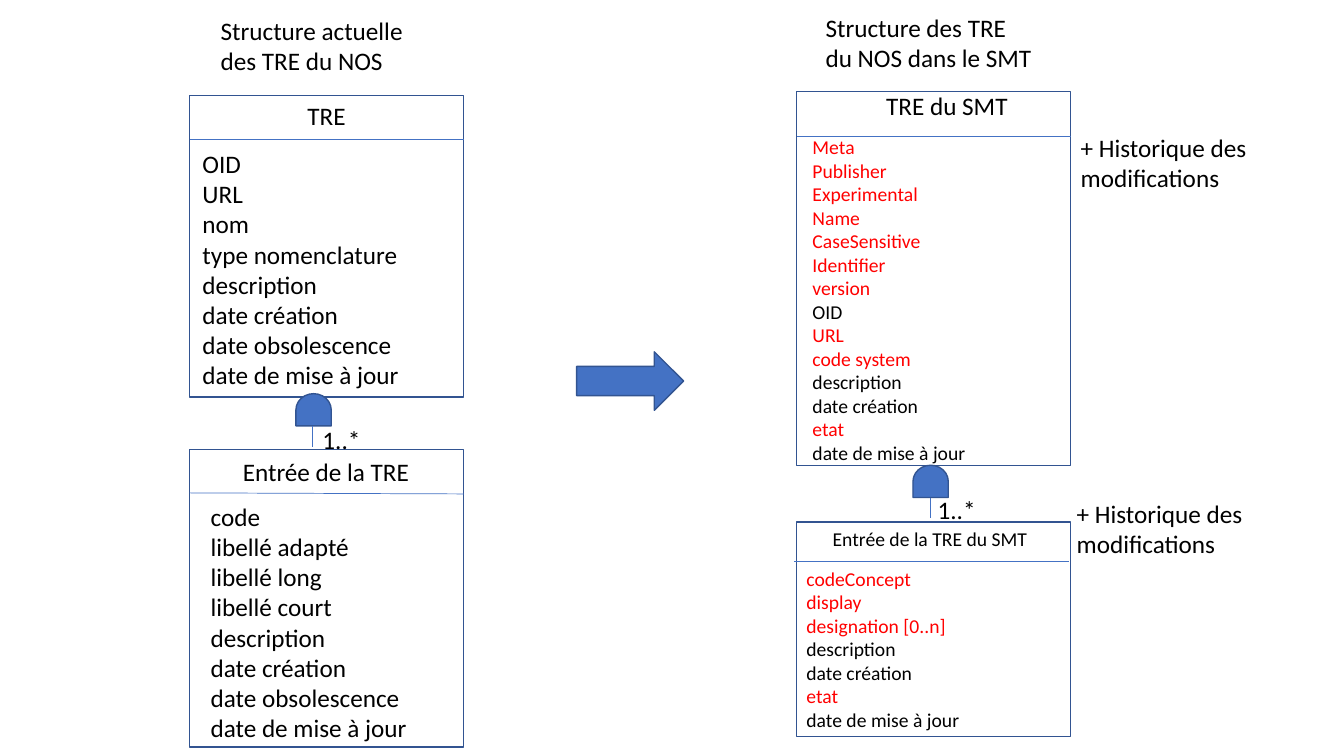
"""Build the slide comparing the current TRE structure with the SMT one."""
import pptx
import pptx.dml.color
import pptx.enum.shapes
import pptx.enum.text
import pptx.util
from lxml import etree

PX = 9144
BLUE, OUTLINE, BLACK, RED = "4472C4", "325491", "000000", "FF0000"
SHAPE = pptx.enum.shapes.MSO_SHAPE


def rgb(value):
    return pptx.dml.color.RGBColor.from_string(value)


def emu(*lengths):
    return [n * PX for n in lengths]


prs = pptx.Presentation()
prs.slide_width, prs.slide_height = emu(1333, 750)
s = prs.slides.add_slide(prs.slide_layouts[6])

shapes = [
    (SHAPE.RECTANGLE, 188, 95, 272, 299, 0),
    (SHAPE.RECTANGLE, 188, 446, 272, 295, 0),
    (SHAPE.RECTANGLE, 790, 91, 272, 371, 0),
    (SHAPE.RECTANGLE, 790, 518, 272, 213, 0),
    (SHAPE.FLOWCHART_DELAY, 295, 389, 32, 35, 270),
    (SHAPE.FLOWCHART_DELAY, 907, 460, 32, 35, 270),
    (SHAPE.RIGHT_ARROW, 572, 349, 106, 58, 0),
]
for kind, x, y, w, h, rotation in shapes:
    sp = s.shapes.add_shape(kind, *emu(x, y, w, h))
    sp.shadow.inherit = False
    sp.rotation = rotation
    sp.line.color.rgb = rgb(OUTLINE)
    sp.line.width = pptx.util.Pt(1)
    if kind == SHAPE.RECTANGLE:
        sp.fill.background()
    else:
        sp.fill.solid()
        sp.fill.fore_color.rgb = rgb(BLUE)

lines = [
    (460, 138, 188, 138),
    (188, 489, 460, 490),
    (1062, 135, 790, 135),
    (1060, 557, 788, 557),
    (310, 423, 310, 443),
    (923, 494, 923, 514),
]
for ends in lines:
    cx = s.shapes.add_connector(pptx.enum.shapes.MSO_CONNECTOR.STRAIGHT, *emu(*ends))
    cx.line.color.rgb = rgb(BLUE)
    cx.line.width = pptx.util.Pt(0.5)
    etree.SubElement(cx._element.spPr, pptx.oxml.ns.qn("a:effectLst"))

tre_fields = ["OID", "URL", "nom", "type nomenclature", "description",
              "date création", "date obsolescence", "date de mise à jour"]
entry_fields = ["code", "libellé adapté", "libellé long", "libellé court", "description",
                "date création", "date obsolescence", "date de mise à jour"]
smt_fields = ["Meta", "Publisher", "Experimental", "Name", "CaseSensitive", "Identifier",
              "version", "OID", "URL", "code system", "description", "date création",
              "etat", "date de mise à jour"]
smt_entry_fields = ["codeConcept", "display", "designation [0..n]", "description",
                    "date création", "etat", "date de mise à jour"]
changed = set(smt_fields + smt_entry_fields) - {
    "OID", "description", "date création", "date de mise à jour"}
history = ["+ Historique des", "modifications"]

texts = [
    (295, 95, 58, 40, 18, False, ["TRE"]),
    (191, 142, 218, 252, 18, False, tre_fields),
    (869, 85, 142, 40, 18, False, ["TRE du SMT"]),
    (796, 129, 248, 340, 14, True, smt_fields),
    (231, 448, 195, 41, 18, True, ["Entrée de la TRE"]),
    (199, 492, 229, 258, 18, True, entry_fields),
    (816, 518, 215, 34, 14, False, ["Entrée de la TRE du SMT"]),
    (790, 557, 173, 175, 14, False, smt_entry_fields),
    (310, 416, 101, 40, 18, True, ["1..*"]),
    (920, 486, 101, 40, 18, True, ["1..*"]),
    (209, 10, 209, 71, 18, False, ["Structure actuelle", "des TRE du NOS"]),
    (809, 7, 227, 71, 18, False, ["Structure des TRE", "du NOS dans le SMT"]),
    (1062, 126, 192, 71, 18, False, history),
    (1058, 489, 192, 71, 18, False, history),
]
for x, y, w, h, size, wrap, content in texts:
    tf = s.shapes.add_textbox(*emu(x, y, w, h)).text_frame
    tf.word_wrap = wrap
    tf.auto_size = pptx.enum.text.MSO_AUTO_SIZE.SHAPE_TO_FIT_TEXT
    tf.text = "\n".join(content)
    for p in tf.paragraphs:
        is_red = content in (smt_fields, smt_entry_fields) and p.text in changed
        for r in p.runs:
            r.font.name = "Calibri"
            r.font.size = pptx.util.Pt(size)
            r.font.color.rgb = rgb(RED if is_red else BLACK)

prs.save("out.pptx")
